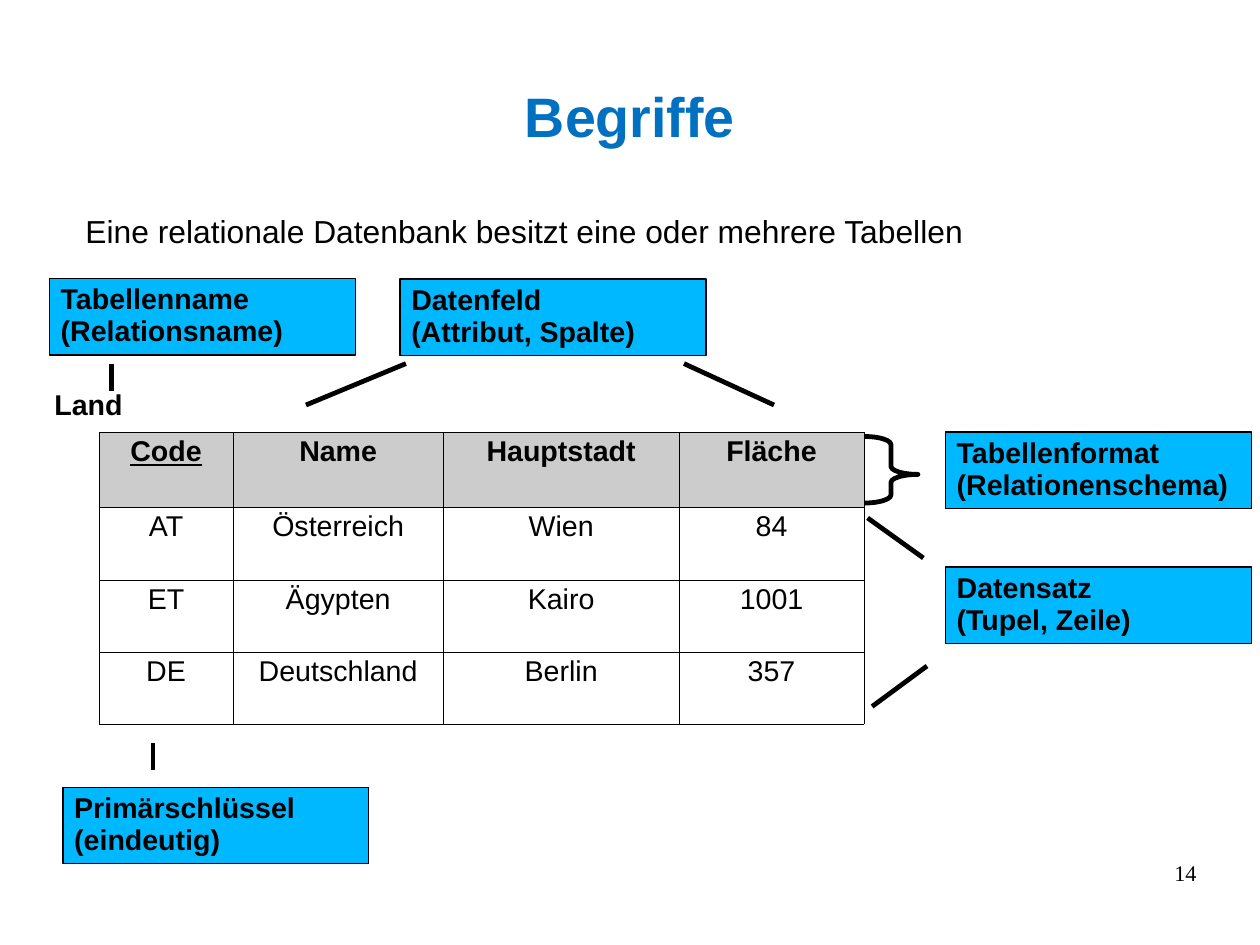
import pptx
import pptx.dml.color
import pptx.enum.shapes
import pptx.enum.text
import pptx.oxml
import pptx.oxml.ns
import pptx.util
from lxml import etree

Cm = pptx.util.Cm
Pt = pptx.util.Pt
Align = pptx.enum.text.PP_ALIGN
Anchor = pptx.enum.text.MSO_ANCHOR
Shape = pptx.enum.shapes.MSO_SHAPE

colours = {"title": "0070C0", "label": "00B8FF", "header": "CCCCCC",
           "ink": "000000", "paper": "FFFFFF"}
rgb = {name: pptx.dml.color.RGBColor.from_string(code) for name, code in colours.items()}


def inset(holder, left, top, right, bottom):
    """Set the inner margins of a text frame or a table cell."""
    margins = {"margin_left": left, "margin_top": top,
               "margin_right": right, "margin_bottom": bottom}
    for name, value in margins.items():
        setattr(holder, name, Cm(value))


def write(frame, lines, colour="ink", align=Align.LEFT, spacing=0.93, **font):
    """Fill a text frame with one paragraph per line."""
    for index, line in enumerate(lines):
        para = frame.add_paragraph() if index else frame.paragraphs[0]
        para.alignment = align
        para.line_spacing = spacing
        span = para.add_run()
        span.text = line
        for name, value in ({"name": "Arial", "size": Pt(18)} | font).items():
            setattr(span.font, name, value)
        span.font.color.rgb = rgb[colour]


deck = pptx.Presentation()
deck.slide_width, deck.slide_height = Cm(28), Cm(21)
page = deck.slides.add_slide(deck.slide_layouts[6])
shapes = page.shapes

# Page number, title, lead sentence and table name
label_insets = (0.25, 0.13, 0.25, 0.13)
texts = [
    ("14", (20.07, 19.13, 6.52, 1.45), (0, 0, 0, 0), Anchor.TOP,
     {"align": Align.RIGHT, "spacing": 0.95, "name": "Times New Roman", "size": Pt(14)}),
    ("Begriffe", (1.4, 0.86, 25.2, 3.5), (0, 0.08, 0, 0), Anchor.MIDDLE,
     {"align": Align.CENTER, "colour": "title", "size": Pt(35), "bold": True}),
    ("Eine relationale Datenbank besitzt eine oder mehrere Tabellen",
     (1.6, 4.74, 25.2, 1.17), (0.3, 0.05, 0, 0), Anchor.TOP, {"size": Pt(20)}),
    ("Land", (0.96, 8.53, 2.4, 0.97), label_insets, Anchor.TOP, {"bold": True}),
]
for text, place, insets, anchor, style in texts:
    box = shapes.add_textbox(*map(Cm, place))
    box.text_frame.word_wrap = True
    box.text_frame.vertical_anchor = anchor
    inset(box.text_frame, *insets)
    write(box.text_frame, [text], **style)

# Brace beside the header row
brace = shapes.add_shape(Shape.RIGHT_BRACE, Cm(19.2), Cm(9.7), Cm(1.2), Cm(1.48))
brace.shadow.inherit = False
brace.adjustments[0], brace.adjustments[1] = 0.15, 0.57
brace.fill.solid()
brace.fill.fore_color.rgb = rgb["paper"]
brace.line.color.rgb = rgb["ink"]
brace.line.width = Pt(3)

# Table of countries
rows = [
    ("Code", "Name", "Hauptstadt", "Fläche"),
    ("AT", "Österreich", "Wien", "84"),
    ("ET", "Ägypten", "Kairo", "1001"),
    ("DE", "Deutschland", "Berlin", "357"),
]
widths = (2.98, 4.67, 5.24, 4.11)
heights = (1.67, 1.61, 1.6, 1.6)
table = shapes.add_table(len(rows), len(widths), Cm(2.2), Cm(9.6),
                         Cm(sum(widths)), Cm(sum(heights))).table
for column, width in zip(table.columns, widths):
    column.width = Cm(width)
for row, height in zip(table.rows, heights):
    row.height = Cm(height)
for r, row in enumerate(rows):
    for c, text in enumerate(row):
        cell = table.cell(r, c)
        inset(cell, 0.1, 0.13, 0.1, 0.13)
        for edge in ("lnL", "lnR", "lnT", "lnB"):
            cell._tc.get_or_add_tcPr().append(pptx.oxml.parse_xml(
                f'<a:{edge} {pptx.oxml.ns.nsdecls("a")} w="{Pt(0.06)}"><a:solidFill>'
                f'<a:srgbClr val="{colours["ink"]}"/></a:solidFill></a:{edge}>'))
        cell.fill.solid()
        cell.fill.fore_color.rgb = rgb["paper" if r else "header"]
        write(cell.text_frame, [text], align=Align.CENTER,
              bold=r == 0, underline=text == "Code")

# Blue term labels
labels = [
    (21.01, 9.6, "Tabellenformat", "(Relationenschema)"),
    (21.01, 12.6, "Datensatz", "(Tupel, Zeile)"),
    (1.1, 6.19, "Tabellenname", "(Relationsname)"),
    (8.89, 6.2, "Datenfeld", "(Attribut, Spalte)"),
    (1.4, 17.5, "Primärschlüssel", "(eindeutig)"),
]
for left, top, *lines in labels:
    label = shapes.add_shape(Shape.RECTANGLE, Cm(left), Cm(top), Cm(6.8), Cm(1.7))
    label.shadow.inherit = False
    label.fill.solid()
    label.fill.fore_color.rgb = rgb["label"]
    label.line.color.rgb = rgb["ink"]
    label.line.width = Pt(0.75)
    label.text_frame.vertical_anchor = Anchor.TOP
    inset(label.text_frame, *label_insets)
    write(label.text_frame, lines, bold=True)

# Pointer lines between labels and table
pointers = [
    (20.52, 12.4, 19.28, 11.51),
    (20.6, 14.8, 19.38, 15.7),
    (9.02, 8.08, 6.8, 9),
    (15.2, 8.08, 17.2, 9),
    (2.47, 8.08, 2.47, 8.69),
    (3.4, 17.12, 3.4, 16.5),
]
for ends in pointers:
    pointer = shapes.add_connector(pptx.enum.shapes.MSO_CONNECTOR.STRAIGHT, *map(Cm, ends))
    pointer.line.color.rgb = rgb["ink"]
    pointer.line.width = Pt(3)
    etree.SubElement(pointer._element.spPr, pptx.oxml.ns.qn("a:effectLst"))

deck.save("out.pptx")
